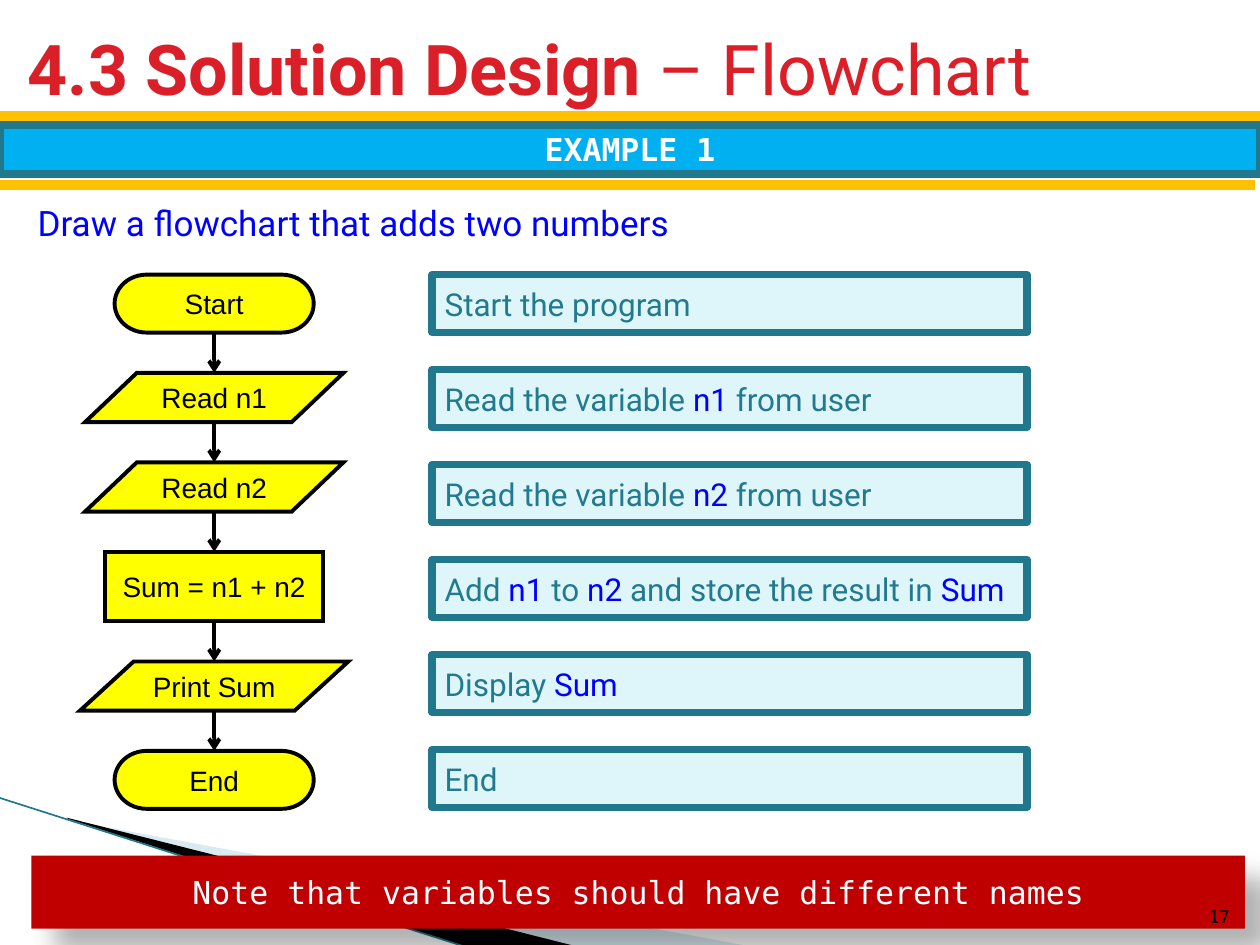
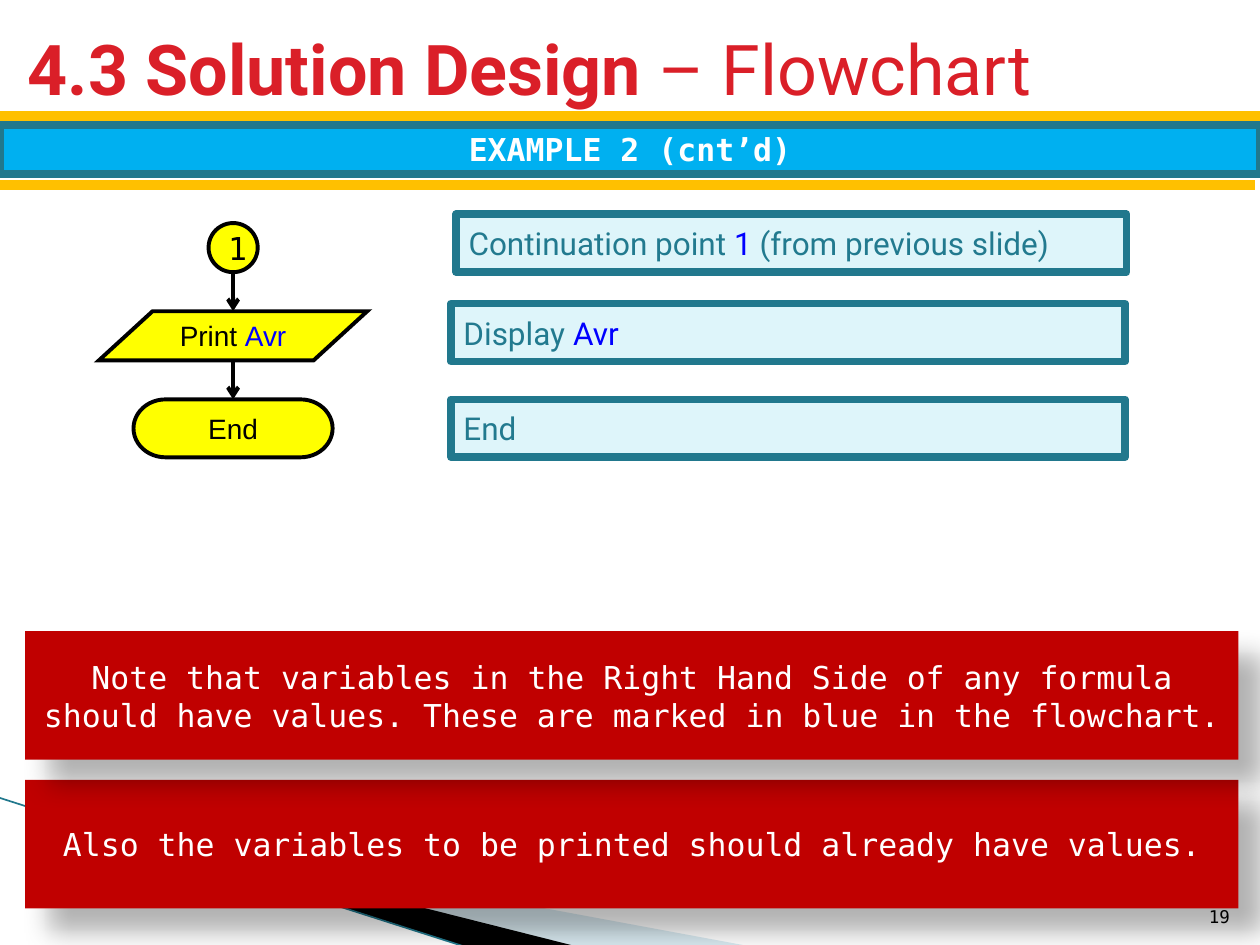
from dataclasses import dataclass

from lxml import etree
from pptx import Presentation
from pptx.dml.color import RGBColor
from pptx.enum.shapes import MSO_CONNECTOR, MSO_SHAPE
from pptx.enum.text import MSO_ANCHOR, MSO_AUTO_SIZE, PP_ALIGN
from pptx.oxml.ns import qn
from pptx.util import Inches, Pt

LEFT, CENTER, RIGHT = PP_ALIGN.LEFT, PP_ALIGN.CENTER, PP_ALIGN.RIGHT
TOP, MIDDLE, BOTTOM = MSO_ANCHOR.TOP, MSO_ANCHOR.MIDDLE, MSO_ANCHOR.BOTTOM
RECTANGLE, CIRCLE = MSO_SHAPE.RECTANGLE, MSO_SHAPE.OVAL
TERMINATOR = MSO_SHAPE.FLOWCHART_TERMINATOR
INPUT_OUTPUT = MSO_SHAPE.FLOWCHART_DATA
PROCESS = MSO_SHAPE.FLOWCHART_PROCESS
STRAIGHT = MSO_CONNECTOR.STRAIGHT
NO_AUTOFIT = MSO_AUTO_SIZE.NONE

BLACK, WHITE, BLUE = "000000", "FFFFFF", "0000FF"
TITLE_RED, NOTE_RED = "DA1F28", "C00000"
GOLD, YELLOW, SKY = "FFC000", "FFFF00", "00B0F0"
TEAL, TEAL_TEXT, PALE_TEAL, SWOOSH_BLUE = "21788D", "227A8F", "DEF5FA", "A0CBDC"
HEADING_FONT, FLOW_FONT, MONO_FONT = "Roboto", "Arial", "DejaVu Sans Mono"
BOX_HEIGHT = 0.46


@dataclass
class Box:
    left: float
    top: float
    width: float
    height: float

    def lengths(self) -> list:
        return [Inches(side) for side in (self.left, self.top, self.width, self.height)]


@dataclass
class Step:
    kind: int
    text: str
    width: float
    height: float
    font: str = FLOW_FONT
    size: int = 16
    wrap: bool = False


@dataclass
class Comment:
    left: float
    top: float
    width: float
    text: str


def color(value: str) -> RGBColor:
    return RGBColor.from_string(value)


def add_element(parent, tag: str, **attributes: str):
    element = etree.SubElement(parent, qn(tag))
    for name, value in attributes.items():
        element.set(name, value)
    return element


def write(shape, text: str, *, size: float, font: str, text_color: str,
          accent_color: str = "", bold: bool = False, accent_bold: bool = False,
          align=LEFT, anchor=MIDDLE, wrap: bool = True) -> None:
    """Fill a shape with one paragraph; parts between bars take the accent format."""
    frame = shape.text_frame
    frame.auto_size = NO_AUTOFIT
    frame.word_wrap = wrap
    frame.vertical_anchor = anchor
    paragraph = frame.paragraphs[0]
    paragraph.alignment = align
    for index, part in enumerate(text.split("|")):
        if not part:
            continue
        accented = index % 2 == 1
        run = paragraph.add_run()
        run.text = part
        run.font.size = Pt(size)
        run.font.name = font
        run.font.bold = accent_bold if accented else bold
        run.font.color.rgb = color(accent_color if accented and accent_color else text_color)


def add_box(slide, kind: int, box: Box, fill: str, line: str = "",
            line_width: float = 0, join: str = "a:round"):
    shape = slide.shapes.add_shape(kind, *box.lengths())
    shape.shadow.inherit = False
    shape.fill.solid()
    shape.fill.fore_color.rgb = color(fill)
    if line:
        shape.line.color.rgb = color(line)
        shape.line.width = Pt(line_width)
        add_element(shape.element.spPr.find(qn("a:ln")), join)
    else:
        shape.line.fill.background()
    return shape


def add_line(slide, start: tuple[float, float], end: tuple[float, float],
             line_color: str, width: float, arrow: bool = False) -> None:
    points = [Inches(value) for value in (*start, *end)]
    connector = slide.shapes.add_connector(STRAIGHT, *points)
    connector.line.color.rgb = color(line_color)
    connector.line.width = Pt(width)
    properties = connector.element.spPr
    if arrow:
        add_element(properties.find(qn("a:ln")), "a:tailEnd", type="arrow")
    add_element(properties, "a:effectLst")


def add_polygon(slide, points: list[tuple[float, float]], fill: str, opacity: int = 100) -> None:
    corners = [(Inches(x), Inches(y)) for x, y in points]
    builder = slide.shapes.build_freeform(*corners[0])
    builder.add_line_segments(corners[1:], close=True)
    shape = builder.convert_to_shape()
    shape.shadow.inherit = False
    shape.fill.solid()
    shape.fill.fore_color.rgb = color(fill)
    shape.line.fill.background()
    if opacity < 100:
        fill_color = shape.element.spPr.find(qn("a:solidFill")).find(qn("a:srgbClr"))
        add_element(fill_color, "a:alpha", val=str(opacity * 1000))


def add_swoosh(slide) -> None:
    add_polygon(slide, [(0.55, 6.51), (5.95, 7.51), (4.56, 7.51), (0.55, 6.5)], SWOOSH_BLUE, 40)
    add_polygon(slide, [(0.53, 6.49), (4.57, 7.51), (3.72, 7.52), (0.54, 6.5)], BLACK)
    add_line(slide, (-0.01, 6.33), (3.71, 7.52), TEAL, 0.95)


def add_note(slide, box: Box, text: str) -> None:
    """Add a red note with a soft shadow to the lower right."""
    shape = add_box(slide, RECTANGLE, box, NOTE_RED)
    effects = shape.element.spPr.find(qn("a:effectLst"))
    shadow = add_element(effects, "a:outerShdw", blurRad=str(Pt(15)), dist=str(Pt(18)),
                         dir="2700000", algn="tl", rotWithShape="0")
    shadow_color = add_element(shadow, "a:srgbClr", val=BLACK)
    add_element(shadow_color, "a:alpha", val="30000")
    write(shape, text, size=18, font=MONO_FONT, text_color=WHITE, align=CENTER)


def add_text(slide, box: Box, text: str, **text_format) -> None:
    write(slide.shapes.add_textbox(*box.lengths()), text, **text_format)


def add_page_number(slide, number: int) -> None:
    add_text(slide, Box(9.46, 7.01, 0.4, 0.4), str(number), size=10, font=MONO_FONT,
             text_color=BLACK, align=RIGHT, anchor=BOTTOM)


def add_header(slide, example: str) -> None:
    add_line(slide, (0, 0.92), (10, 0.92), GOLD, 6)
    add_line(slide, (-0.04, 1.47), (9.96, 1.47), GOLD, 6)
    title = slide.shapes.title
    title.left, title.top, title.width, title.height = Box(0.12, 0.11, 9.55, 0.85).lengths()
    write(title, "|4.3 Solution Design |– Flowchart", size=40, font=HEADING_FONT,
          text_color=TITLE_RED, accent_bold=True)
    banner = add_box(slide, RECTANGLE, Box(0, 0.99, 10, 0.39), SKY, TEAL, 4.33)
    write(banner, example, size=18, font=MONO_FONT, text_color=WHITE, bold=True, align=CENTER)


def add_flowchart(slide, steps: list[Step], center: float, top: float, gap: float) -> None:
    """Stack the steps around a centre line, with an arrow across each gap."""
    for index, step in enumerate(steps):
        if index:
            add_line(slide, (center, top - gap), (center, top), BLACK, 2.25, arrow=True)
        box = Box(center - step.width / 2, top, step.width, step.height)
        shape = add_box(slide, step.kind, box, YELLOW, BLACK, 2.25, join="a:miter")
        write(shape, step.text, size=step.size, font=step.font, text_color=BLACK,
              accent_color=BLUE, align=CENTER, wrap=step.wrap)
        top += step.height + gap


def add_comments(slide, comments: list[Comment]) -> None:
    for comment in comments:
        box = Box(comment.left, comment.top, comment.width, BOX_HEIGHT)
        shape = add_box(slide, RECTANGLE, box, PALE_TEAL, TEAL, 4.33)
        write(shape, comment.text, size=18, font=HEADING_FONT, text_color=TEAL_TEXT,
              accent_color=BLUE)


def new_slide(presentation):
    slide = presentation.slides.add_slide(presentation.slide_layouts[5])
    add_swoosh(slide)
    return slide


def build_sum_slide(presentation) -> None:
    slide = new_slide(presentation)
    add_note(slide, Box(0.25, 6.79, 9.63, 0.58),
             "Note that variables should have different names")
    add_page_number(slide, 17)
    add_header(slide, "EXAMPLE 1")
    add_text(slide, Box(0.2, 1.55, 9.53, 0.47), "Draw a flowchart that adds two numbers",
             size=20, font=HEADING_FONT, text_color=BLUE, anchor=TOP)
    first_top, last_top = 2.18, 5.95
    add_flowchart(slide, [
        Step(TERMINATOR, "Start", 1.58, BOX_HEIGHT),
        Step(INPUT_OUTPUT, "Read n1", 2.05, 0.39),
        Step(INPUT_OUTPUT, "Read n2", 2.05, 0.39),
        Step(PROCESS, "Sum = n1 + n2", 1.73, 0.55),
        Step(INPUT_OUTPUT, "Print Sum", 2.13, 0.39),
        Step(TERMINATOR, "End", 1.58, BOX_HEIGHT),
    ], center=1.7, top=first_top, gap=0.32)
    texts = [
        "Start the program",
        "Read the variable |n1| from user",
        "Read the variable |n2| from user",
        "Add |n1| to |n2| and store the result in |Sum",
        "Display |Sum",
        "End",
    ]
    pitch = (last_top - first_top) / (len(texts) - 1)
    add_comments(slide, [Comment(3.43, first_top + index * pitch, 4.72, text)
                         for index, text in enumerate(texts)])


def build_average_slide(presentation) -> None:
    slide = new_slide(presentation)
    add_page_number(slide, 19)
    add_header(slide, "EXAMPLE 2 (cnt’d)")
    add_flowchart(slide, [
        Step(CIRCLE, "1", 0.39, 0.39, font=MONO_FONT, size=18, wrap=True),
        Step(INPUT_OUTPUT, "Print |Avr", 2.13, 0.39),
        Step(TERMINATOR, "End", 1.58, BOX_HEIGHT),
    ], center=1.85, top=1.77, gap=0.31)
    add_comments(slide, [
        Comment(3.62, 1.7, 5.32, "Continuation point |1| (from previous slide)"),
        Comment(3.58, 2.41, 5.35, "Display |Avr"),
        Comment(3.58, 3.17, 5.35, "End"),
    ])
    add_note(slide, Box(0.2, 6.19, 9.63, 1.02),
             "Also the variables to be printed should already have values.")
    add_note(slide, Box(0.2, 5.01, 9.63, 1.02),
             "Note that variables in the Right Hand Side of any formula should have values. "
             "These are marked in blue in the flowchart.")


def main() -> None:
    presentation = Presentation()
    presentation.slide_width = Inches(10)
    presentation.slide_height = Inches(7.5)
    build_sum_slide(presentation)
    build_average_slide(presentation)
    presentation.save("out.pptx")


if __name__ == "__main__":
    main()
